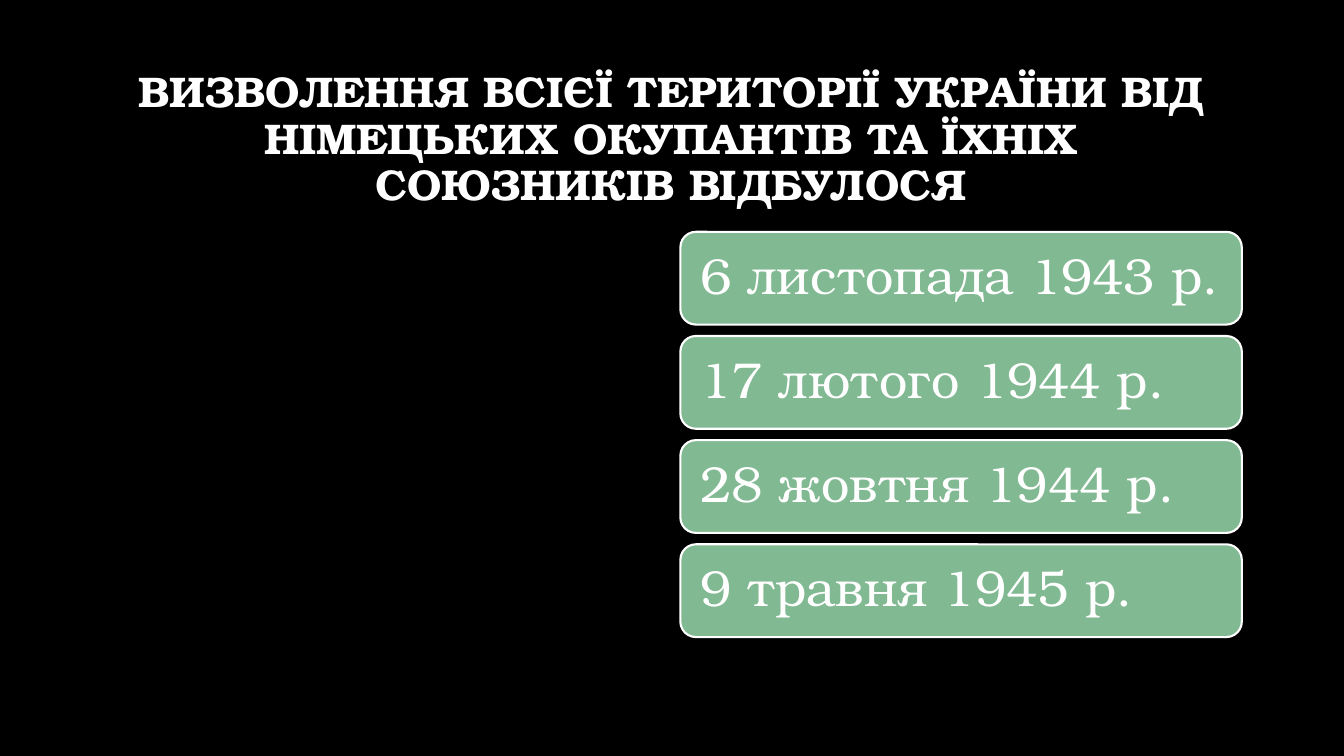
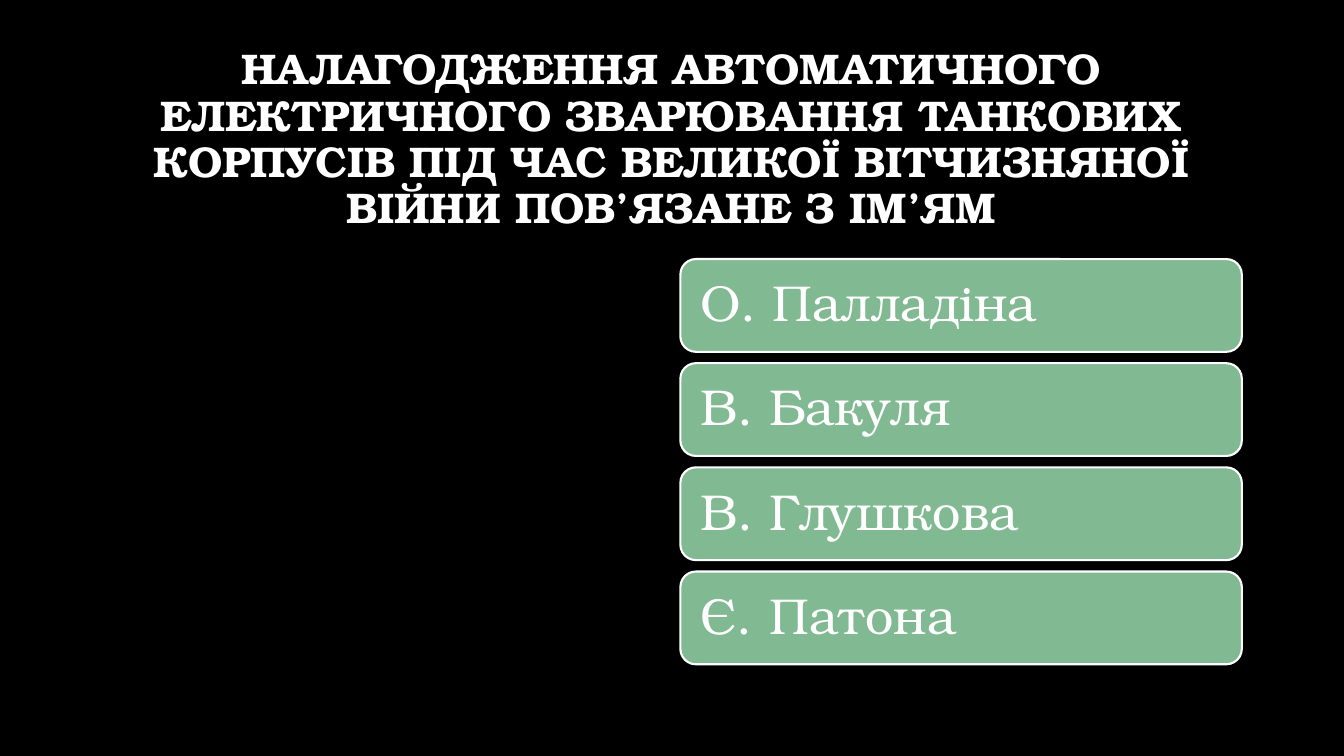
"""Build two quiz slides, each with a question and four answer cards."""
from dataclasses import dataclass

from pptx import Presentation
from pptx.dml.color import RGBColor
from pptx.enum.shapes import MSO_SHAPE
from pptx.enum.text import MSO_ANCHOR, MSO_AUTO_SIZE, PP_ALIGN
from pptx.slide import Slide
from pptx.text.text import TextFrame
from pptx.util import Inches, Pt

BLACK = RGBColor(0x00, 0x00, 0x00)
WHITE = RGBColor(0xFF, 0xFF, 0xFF)
GREEN = RGBColor(0x81, 0xB9, 0x92)
FONT = "TeX Gyre Bonum"

WIDE, HIGH = Inches(13.33), Inches(7.5)
COLS, ROWS = 160, 90
CARD_STEP = 12.4


@dataclass(frozen=True)
class Box:
    col: float
    row: float
    cols: float
    rows: float

    def place(self) -> tuple[int, int, int, int]:
        return (
            round(WIDE * self.col / COLS),
            round(HIGH * self.row / ROWS),
            round(WIDE * self.cols / COLS),
            round(HIGH * self.rows / ROWS),
        )


@dataclass(frozen=True)
class Quiz:
    title: str
    top: float
    cards: tuple[str, ...]


TITLE_BOX = Box(12, 8, 135.84, 17.4)

QUIZZES = (
    Quiz(
        "ВИЗВОЛЕННЯ ВСІЄЇ ТЕРИТОРІЇ УКРАЇНИ ВІД НІМЕЦЬКИХ ОКУПАНТІВ "
        "ТА ЇХНІХ СОЮЗНИКІВ ВІДБУЛОСЯ",
        27.6,
        ("6 листопада 1943 р.", "17 лютого 1944 р.",
         "28 жовтня 1944 р.", "9 травня 1945 р."),
    ),
    Quiz(
        "НАЛАГОДЖЕННЯ АВТОМАТИЧНОГО ЕЛЕКТРИЧНОГО ЗВАРЮВАННЯ ТАНКОВИХ "
        "КОРПУСІВ ПІД ЧАС ВЕЛИКОЇ ВІТЧИЗНЯНОЇ ВІЙНИ ПОВ’ЯЗАНЕ З ІМ’ЯМ",
        30.84,
        ("О. Палладіна", "В. Бакуля", "В. Глушкова", "Є. Патона"),
    ),
)


def set_text(frame: TextFrame, text: str, size: float,
             align: PP_ALIGN, bold: bool = False) -> None:
    frame.text = text
    frame.word_wrap = True
    frame.auto_size = MSO_AUTO_SIZE.NONE
    frame.vertical_anchor = MSO_ANCHOR.MIDDLE
    para = frame.paragraphs[0]
    para.alignment = align
    para.line_spacing = 0.9
    font = para.runs[0].font
    font.name, font.size, font.bold = FONT, Pt(size), bold
    font.color.rgb = WHITE


def add_title(slide: Slide, text: str) -> None:
    title = slide.shapes.title
    title.left, title.top, title.width, title.height = TITLE_BOX.place()
    set_text(title.text_frame, text, 30.6, PP_ALIGN.CENTER, bold=True)


def add_card(slide: Slide, text: str, row: float) -> None:
    box = Box(81, row, 66.84, 11.04)
    card = slide.shapes.add_shape(MSO_SHAPE.ROUNDED_RECTANGLE, *box.place())
    card.shadow.inherit = False
    card.fill.solid()
    card.fill.fore_color.rgb = GREEN
    card.line.color.rgb = WHITE
    card.line.width = Pt(1.5)
    frame = card.text_frame
    frame.margin_left = frame.margin_right = Inches(0.15)
    frame.margin_top = frame.margin_bottom = Inches(0.15)
    set_text(frame, text, 36, PP_ALIGN.LEFT)


def main() -> None:
    deck = Presentation()
    deck.slide_width, deck.slide_height = WIDE, HIGH
    back = deck.slide_master.background.fill
    back.solid()
    back.fore_color.rgb = BLACK
    layout = deck.slide_layouts.get_by_name("Title Only")
    for quiz in QUIZZES:
        slide = deck.slides.add_slide(layout)
        add_title(slide, quiz.title)
        for rank, text in enumerate(quiz.cards):
            add_card(slide, text, quiz.top + rank * CARD_STEP)
    deck.save("out.pptx")


if __name__ == "__main__":
    main()
